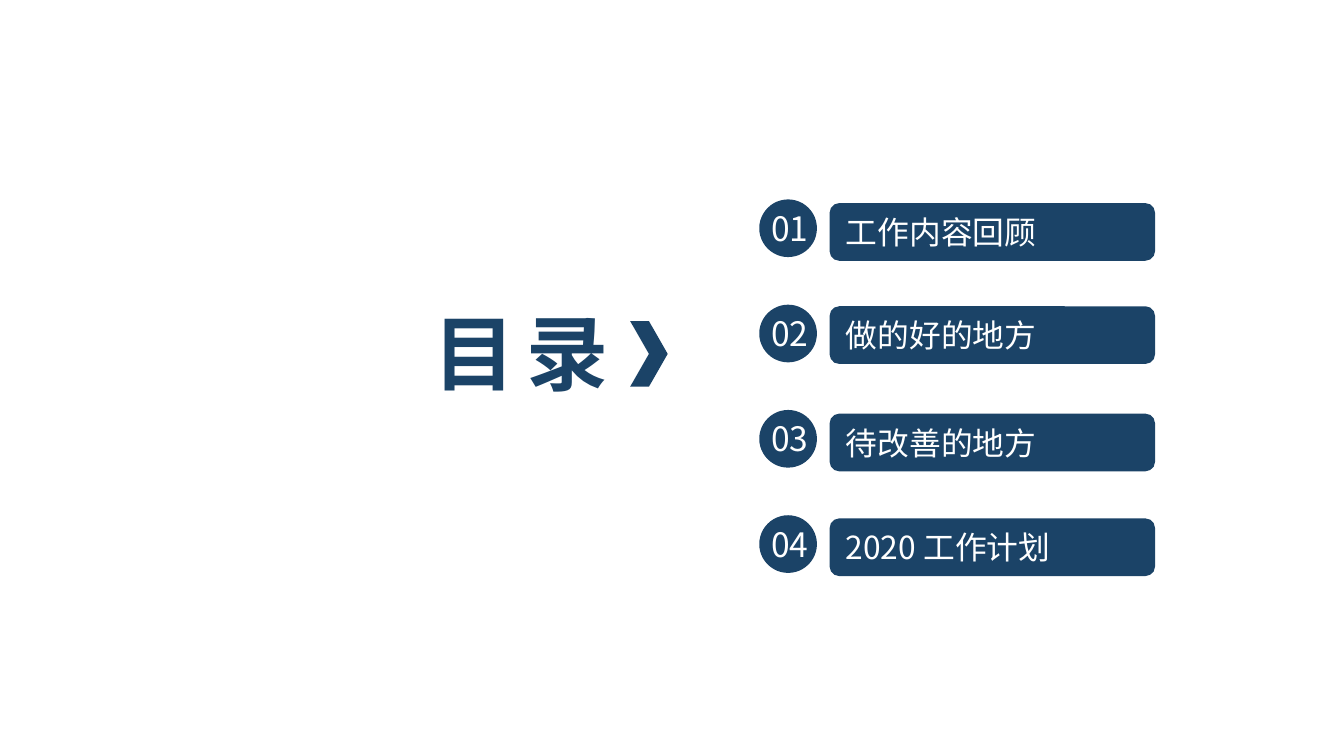
from pptx import Presentation
from pptx.dml.color import RGBColor
from pptx.enum.shapes import MSO_SHAPE as SHAPE
from pptx.enum.text import MSO_ANCHOR as ANCHOR, PP_ALIGN as ALIGN
from pptx.oxml.ns import qn
from pptx.util import Cm, Pt
from lxml.etree import SubElement

NAVY = "1B4367"
WHITE = "FFFFFF"
FONT = "Noto Sans CJK SC"


def rgb(value):
    return RGBColor.from_string(value)


class Deck:
    def __init__(self, slide, font, accent):
        self.slide = slide
        self.font = font
        self.accent = accent

    def shape(self, kind, x, y, w, h):
        sp = self.slide.shapes.add_shape(kind, Cm(x), Cm(y), Cm(w), Cm(h))
        sp.shadow.inherit = False
        sp.fill.solid()
        sp.fill.fore_color.rgb = rgb(self.accent)
        sp.line.fill.background()
        return sp

    def add_run(self, sp, text, size, color, align=ALIGN.LEFT, bold=False, spacing=None):
        tf = sp.text_frame
        tf.word_wrap = True
        tf.vertical_anchor = ANCHOR.MIDDLE
        p = tf.paragraphs[0]
        p.alignment = align
        r = p.add_run()
        r.text = text
        r.font.size = Pt(size)
        r.font.bold = bold
        r.font.name = self.font
        r.font.color.rgb = rgb(color)
        props = r.font._element
        SubElement(props, qn("a:ea")).set("typeface", self.font)
        if spacing is not None:
            props.set("spc", str(round(spacing * 100)))

    def text(self, text, x, y, w, h, size, color, **style):
        sp = self.slide.shapes.add_textbox(Cm(x), Cm(y), Cm(w), Cm(h))
        self.add_run(sp, text, size, color, **style)

    def bar(self, text, y):
        sp = self.shape(SHAPE.ROUNDED_RECTANGLE, 15.68, y, 6.15, 1.09)
        self.add_run(sp, text, 17, WHITE)

    def badge(self, text, y):
        self.shape(SHAPE.OVAL, 14.35, y, 1.09, 1.09)
        self.text(text, 14.27, y + 0.03, 1.32, 1.02, 18, WHITE, align=ALIGN.CENTER)


def main():
    prs = Presentation()
    prs.slide_width = Cm(25.4)
    prs.slide_height = Cm(14.29)
    s = prs.slides.add_slide(prs.slide_layouts[6])
    deck = Deck(s, FONT, NAVY)

    deck.text("目 录", 7.95, 5.59, 5.97, 2.13, 44, NAVY, bold=True, spacing=-2.2)
    chapters = [
        ("工作内容回顾", 3.84),
        ("做的好的地方", 5.79),
        ("待改善的地方", 7.82),
        ("2020 工作计划", 9.8),
    ]
    for i, (title, top) in enumerate(chapters):
        deck.bar(title, top)
        deck.badge(f"{i + 1:02d}", 3.77 + 1.99 * i)
    deck.shape(SHAPE.CHEVRON, 11.91, 6.07, 0.71, 1.24)

    prs.save("out.pptx")


if __name__ == "__main__":
    main()
